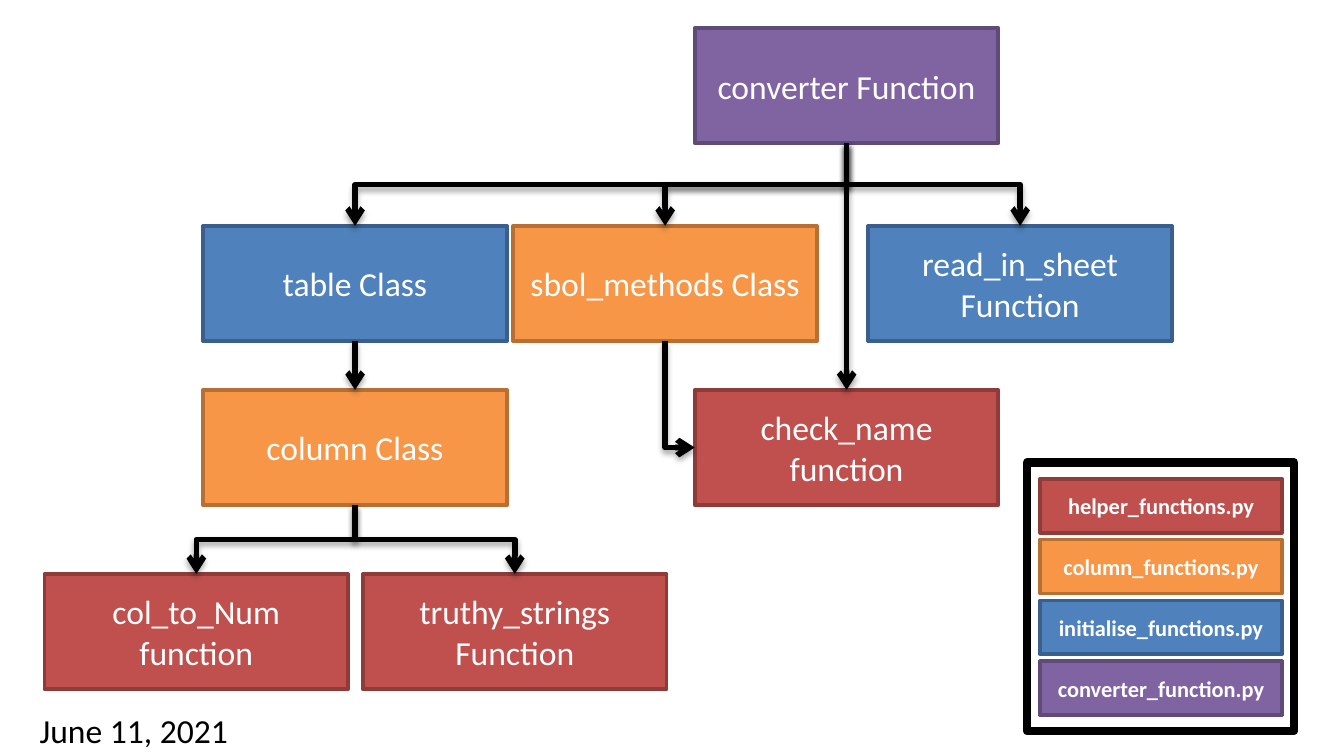
from pptx import Presentation
from pptx.util import Cm, Pt
from pptx.dml.color import RGBColor
from pptx.enum.shapes import MSO_SHAPE as Shape, MSO_CONNECTOR as Link
from pptx.enum.text import PP_ALIGN as Align, MSO_ANCHOR as Anchor
from pptx.oxml import parse_xml
from pptx.oxml.ns import nsdecls

FONT = "Calibri"
BLACK = RGBColor(0x00, 0x00, 0x00)
WHITE = RGBColor(0xFF, 0xFF, 0xFF)
# Fill and line of each source file
RED = RGBColor(0xC0, 0x50, 0x4D), RGBColor(0x8E, 0x3B, 0x39)
ORANGE = RGBColor(0xF7, 0x96, 0x46), RGBColor(0xB7, 0x6F, 0x34)
BLUE = RGBColor(0x4F, 0x81, 0xBD), RGBColor(0x3A, 0x5F, 0x8C)
PURPLE = RGBColor(0x80, 0x64, 0xA2), RGBColor(0x5F, 0x4A, 0x78)

BOX_W, BOX_H = 5.74, 2.18
ROWS = [0.53, 4.27, 7.37, 10.85]
BOTTOM, LEFT = 2, 1
TOP = 0

SHADOW = (f'<a:effectLst {nsdecls("a")}><a:outerShdw blurRad="40000" dist="23000" '
          'dir="5400000" rotWithShape="0"><a:srgbClr val="000000">'
          '<a:alpha val="35000"/></a:srgbClr></a:outerShdw></a:effectLst>')
HEAD = f'<a:tailEnd {nsdecls("a")} type="arrow"/>'

deck = Presentation()
deck.slide_width, deck.slide_height = Cm(25.4), Cm(14.29)
slide = deck.slides.add_slide(deck.slide_layouts[6])
shapes = slide.shapes


def add_box(text, color, x, y, w=BOX_W, h=BOX_H, size=18, bold=False):
    """Add a filled box with centred white text."""
    box = shapes.add_shape(Shape.RECTANGLE, Cm(x), Cm(y), Cm(w), Cm(h))
    box.shadow.inherit = False
    box.fill.solid()
    box.fill.fore_color.rgb, box.line.color.rgb = color
    box.line.width = Pt(2)
    frame = box.text_frame
    frame.word_wrap = True
    frame.vertical_anchor = Anchor.MIDDLE
    para = frame.paragraphs[0]
    para.alignment = Align.CENTER
    run = para.add_run()
    run.text = text
    font = run.font
    font.name, font.size, font.bold = FONT, Pt(size), bold
    font.color.rgb = WHITE
    return box


def add_link(start, end, site=TOP):
    """Add an arrow that leaves the bottom of one box and ends at another."""
    x1, y1 = start.left + start.width // 2, start.top + start.height
    if site == LEFT:
        x2, y2 = end.left, end.top + end.height // 2
    else:
        x2, y2 = end.left + end.width // 2, end.top
    bent = x1 != x2
    link = shapes.add_connector(Link.ELBOW if bent else Link.STRAIGHT, x1, y1, x2, y2)
    link.begin_connect(start, BOTTOM)
    link.end_connect(end, site)
    props = link._element.spPr
    if bent:
        # An elbow runs sideways first, so it is turned to run down first
        w, h = y2 - y1, abs(x2 - x1)
        link.left, link.top = (x1 + x2 - w) // 2, (y1 + y2 - h) // 2
        link.width, link.height = w, h
        right = x2 > x1
        props.xfrm.set("rot", "16200000" if right else "5400000")
        props.xfrm.set("flipH", "1" if right else "0")
    if site == LEFT:
        props.prstGeom.set("prst", "bentConnector2")
    link.line.color.rgb = BLACK
    link.line.width = Pt(3)
    props.ln.append(parse_xml(HEAD))
    props.append(parse_xml(SHADOW))


# Call tree
sheet = add_box("read_in_sheet Function", BLUE, 16.41, ROWS[1])
main = add_box("converter Function", PURPLE, 13.13, ROWS[0])
table = add_box("table Class", BLUE, 3.84, ROWS[1])
column = add_box("column Class", ORANGE, 3.84, ROWS[2])
truthy = add_box("truthy_strings Function", RED, 6.86, ROWS[3])
check = add_box("check_name function", RED, 13.13, ROWS[2])
sbol = add_box("sbol_methods Class", ORANGE, 9.7, ROWS[1])
number = add_box("col_to_Num function", RED, 0.84, ROWS[3])

for start, end in [(main, sbol), (main, table), (main, sheet), (column, truthy),
                   (column, number), (main, check), (table, column)]:
    add_link(start, end)
add_link(sbol, check, LEFT)

# Legend
legend = [("helper_functions.py", RED), ("column_functions.py", ORANGE),
          ("initialise_functions.py", BLUE), ("converter_function.py", PURPLE)]
for i, (name, color) in enumerate(legend):
    add_box(name, color, 19.66, 9.05 + 1.15 * i, 4.57, 1.02, 12, True)
frame = shapes.add_shape(Shape.RECTANGLE, Cm(19.41), Cm(8.74), Cm(5.05), Cm(5.08))
frame.shadow.inherit = False
frame.fill.background()
frame.line.color.rgb = BLACK
frame.line.width = Pt(4.5)

# Date
date = shapes.add_textbox(Cm(0.5), Cm(13.3), Cm(4.12), Cm(1.03))
date.text_frame.word_wrap = False
run = date.text_frame.paragraphs[0].add_run()
run.text = "June 11, 2021"
run.font.name, run.font.size = FONT, Pt(18)
run.font.color.rgb = BLACK

deck.save("out.pptx")
